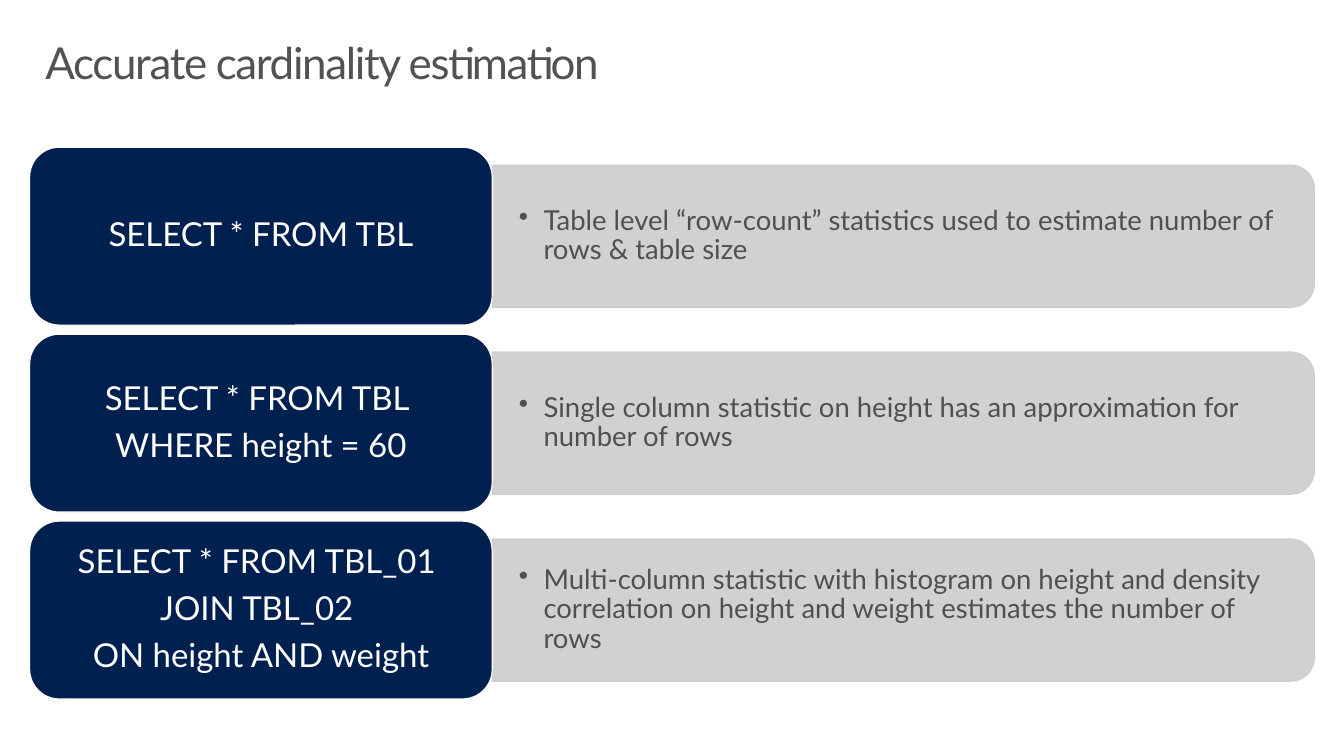
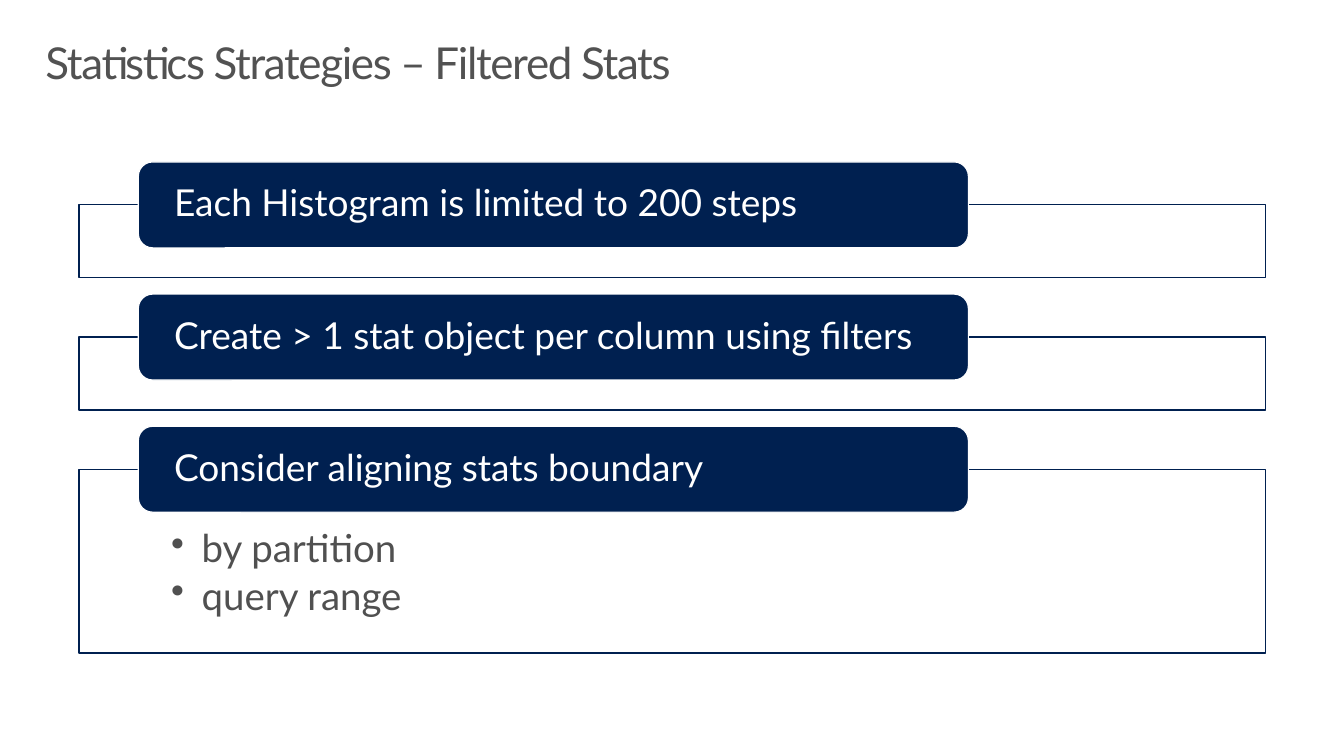
from lxml.etree import SubElement
from pptx import Presentation
from pptx.dml.color import RGBColor
from pptx.enum.shapes import MSO_SHAPE
from pptx.enum.text import MSO_ANCHOR, MSO_AUTO_SIZE, PP_ALIGN
from pptx.oxml.ns import qn
from pptx.util import Pt

COLORS = {
    "navy": "002050",
    "panel": "CCCDD0",
    "white": "FFFFFF",
    "body": "505050",
    "title": "525252",
}
FONT = "Lato"
LINE_WIDTH = 0.85

QUERIES = [
    (["SELECT * FROM TBL"],
     "Table level “row-count” statistics used to estimate number of rows & table size"),
    (["SELECT * FROM TBL ", "WHERE height = 60"],
     "Single column statistic on height has an approximation for number of rows"),
    (["SELECT * FROM TBL_01 ", "JOIN TBL_02 ", "ON height AND weight"],
     "Multi-column statistic with histogram on height and density correlation "
     "on height and weight estimates the number of rows"),
]
STRATEGIES = [
    ("Each Histogram is limited to 200 steps", []),
    ("Create > 1 stat object per column using filters", []),
    ("Consider aligning stats boundary", ["by partition", "query range"]),
]


def color(name):
    return RGBColor.from_string(COLORS[name])


def set_alpha(fill_or_line_properties, percent):
    """Make every solid colour found below the element partly transparent."""
    for value in fill_or_line_properties.iter(qn("a:srgbClr")):
        SubElement(value, qn("a:alpha"), val=str(percent * 1000))


def add_box(slide, kind, box, fill, line, alpha=None, rotation=0):
    shape = slide.shapes.add_shape(kind, *map(Pt, box))
    shape.rotation = rotation
    shape.shadow.inherit = False
    shape.fill.solid()
    shape.fill.fore_color.rgb = color(fill)
    if alpha:
        set_alpha(shape.fill._xPr, alpha)
    shape.line.color.rgb = color(line)
    shape.line.width = Pt(LINE_WIDTH)
    return shape


def set_frame(frame, anchor, insets):
    frame.word_wrap = True
    frame.auto_size = MSO_AUTO_SIZE.NONE
    frame.vertical_anchor = anchor
    horizontal, top, bottom = insets
    frame.margin_left = frame.margin_right = Pt(horizontal)
    frame.margin_top, frame.margin_bottom = Pt(top), Pt(bottom)


def write(frame, lines, size, ink, space_after, align=PP_ALIGN.LEFT, bullet_indent=None):
    """Fill a text frame; space_after is a share of the text size."""
    frame.text = "\n".join(lines)
    for paragraph in frame.paragraphs:
        paragraph.alignment = align
        paragraph.line_spacing = 0.9
        paragraph.space_before = Pt(0)
        paragraph.space_after = Pt(size * space_after)
        paragraph.font.name = FONT
        paragraph.font.size = Pt(size)
        paragraph.font.color.rgb = color(ink)
        if bullet_indent:
            add_bullet(paragraph, bullet_indent)


def add_bullet(paragraph, indent):
    properties = paragraph._p.get_or_add_pPr()
    properties.set("marL", str(Pt(indent)))
    properties.set("indent", str(-Pt(indent)))
    bullet = properties.makeelement(qn("a:buChar"), {"char": "•"})
    properties.find(qn("a:defRPr")).addprevious(bullet)


def add_titled_slide(presentation, text):
    slide = presentation.slides.add_slide(presentation.slide_layouts[5])
    title = slide.shapes.title
    title.left, title.top, title.width, title.height = map(Pt, (21.6, 23, 936, 72))
    set_frame(title.text_frame, MSO_ANCHOR.TOP, (11.5, 7.2, 7.2))
    write(title.text_frame, [text], 32, "title", 0)
    title.text_frame.paragraphs[0].font._element.set("spc", "-100")
    return slide


def add_query_row(slide, top, query, explanation):
    left, width, height = 21.6, 337, 129.6
    panel_left, panel_width, panel_height = left + width, 599, 103.6
    middle = top + height / 2
    # The panel is a tall shape turned a quarter, so its round corners face right.
    add_box(slide, MSO_SHAPE.ROUND_2_SAME_RECTANGLE,
            (panel_left + (panel_width - panel_height) / 2, middle - panel_width / 2,
             panel_height, panel_width),
            "panel", "panel", alpha=90, rotation=90)
    text_box = slide.shapes.add_textbox(
        *map(Pt, (panel_left, middle - 46.8, 594, 93.6)))
    set_frame(text_box.text_frame, MSO_ANCHOR.MIDDLE, (19.4, 10, 10))
    write(text_box.text_frame, [explanation], 20, "body", 0.15, bullet_indent=18)

    pill = add_box(slide, MSO_SHAPE.ROUNDED_RECTANGLE, (left, top, width, height),
                   "navy", "white")
    set_frame(pill.text_frame, MSO_ANCHOR.MIDDLE, (7.2, 3.6, 3.6))
    write(pill.text_frame, query, 24, "white", 0.35, PP_ALIGN.CENTER)


def add_strategy(slide, top, heading, details):
    outline_height = 134 if details else 53.3
    outline = add_box(slide, MSO_SHAPE.RECTANGLE, (57.6, top + 31.2, 864.7, outline_height),
                      "white", "navy", alpha=90)
    if details:
        set_frame(outline.text_frame, MSO_ANCHOR.TOP, (67, 44, 16))
        write(outline.text_frame, details, 28, "body", 0.15, bullet_indent=22.3)

    pill = add_box(slide, MSO_SHAPE.ROUNDED_RECTANGLE, (100.8, top, 604.8, 62.6),
                   "navy", "white")
    set_frame(pill.text_frame, MSO_ANCHOR.MIDDLE, (23, 0, 0))
    write(pill.text_frame, [heading], 27, "white", 0.35)


def main():
    presentation = Presentation()
    presentation.slide_width, presentation.slide_height = Pt(979.2), Pt(550.8)

    slide = add_titled_slide(presentation, "Accurate cardinality estimation")
    for row, (query, explanation) in enumerate(QUERIES):
        add_query_row(slide, 107.3 + 136.2 * row, query, explanation)

    slide = add_titled_slide(presentation, "Statistics Strategies – Filtered Stats")
    for row, (heading, details) in enumerate(STRATEGIES):
        add_strategy(slide, 118 + 96.3 * row, heading, details)

    presentation.save("out.pptx")


if __name__ == "__main__":
    main()
